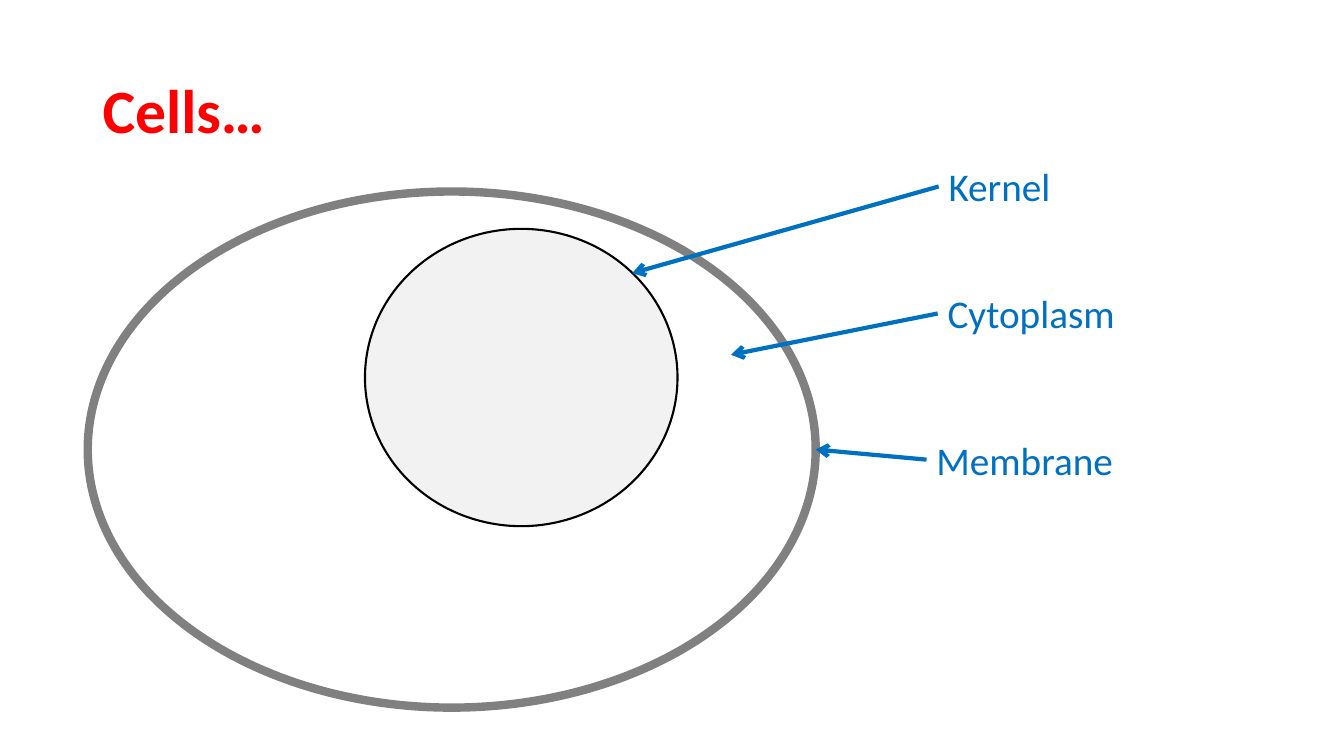
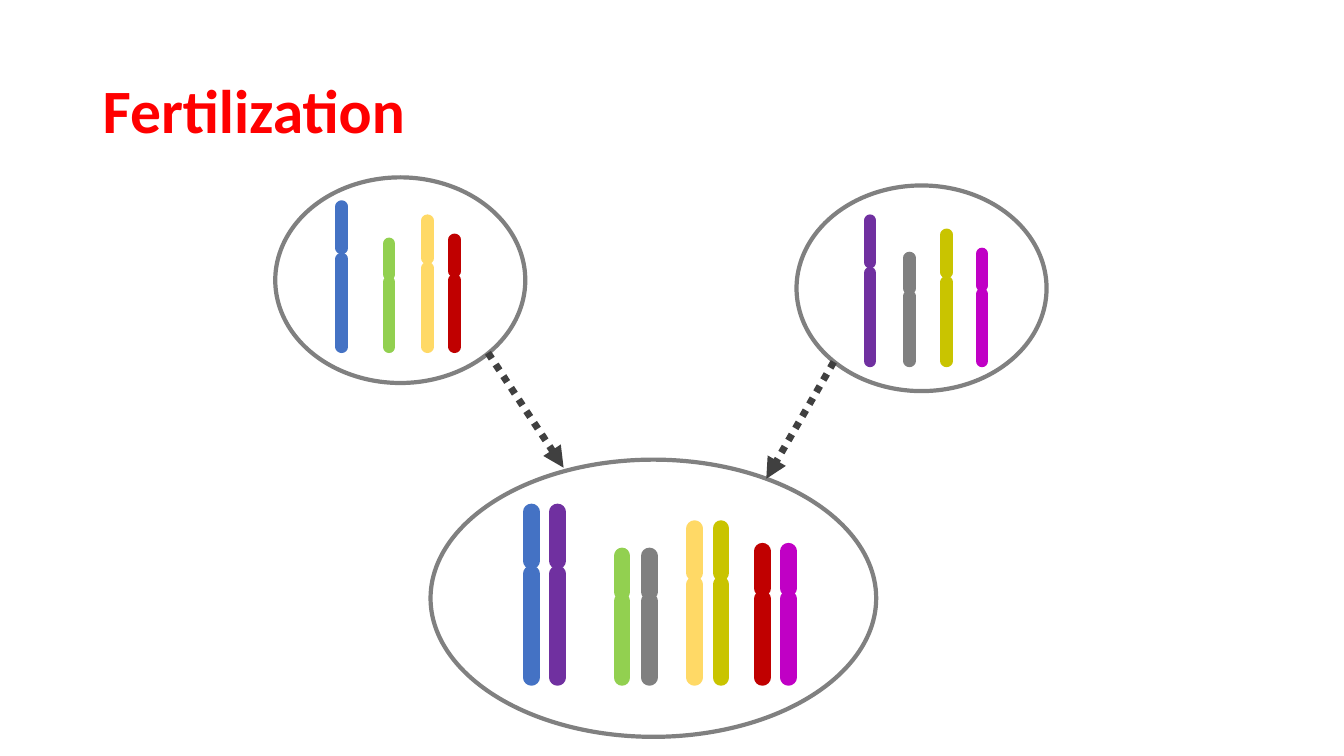
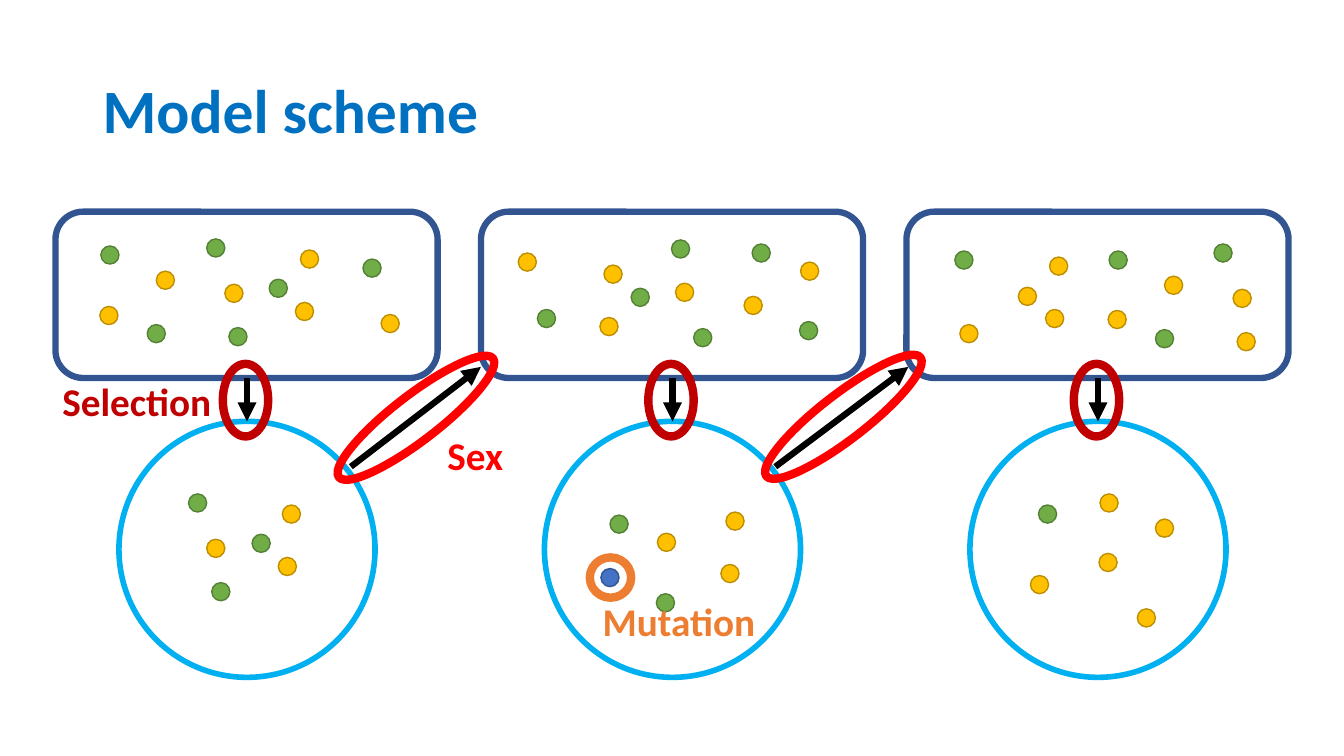
from lxml import etree
from pptx import Presentation
from pptx.dml.color import RGBColor
from pptx.enum.dml import MSO_LINE
from pptx.enum.shapes import MSO_CONNECTOR, MSO_SHAPE
from pptx.enum.text import MSO_ANCHOR
from pptx.oxml.ns import qn
from pptx.util import Inches, Pt

OVAL = MSO_SHAPE.OVAL
ROUNDED = MSO_SHAPE.ROUNDED_RECTANGLE
STRAIGHT = MSO_CONNECTOR.STRAIGHT
DOTTED = MSO_LINE.ROUND_DOT
MIDDLE = MSO_ANCHOR.MIDDLE

FONT = "Calibri"
COLORS = {
    "red": "FF0000", "blue": "0070C0", "gray": "808080", "pale": "F2F2F2",
    "black": "000000", "charcoal": "404040", "purple": "7030A0",
    "olive": "C9C400", "magenta": "C000C5", "lime": "92D050",
    "cream": "FFD966", "royal": "4472C4", "crimson": "C00000",
    "navy": "325491", "sky": "00B0F0", "orange": "ED7D31",
    "green": "70AD47", "green edge": "538035",
    "gold": "FFC000", "gold edge": "BD8E00",
}

CELL_PARTS = [
    ("Kernel", (9.31, 1.56, 1.22, 0.57), (9.31, 1.85), (6.27, 2.71)),
    ("Cytoplasm", (9.3, 2.82, 1.88, 0.57), (9.3, 3.11), (7.25, 3.52)),
    ("Membrane", (9.19, 4.28, 1.97, 0.57), (9.19, 4.56), (8.09, 4.46)),
]

CHROMOSOME_HEIGHTS = [(1.39, 0.98, 0.87), (1.02, 0.72, 0.64),
                      (1.25, 0.88, 0.78), (1.06, 0.75, 0.66)]
MOTHER_COLORS = ["royal", "lime", "cream", "crimson"]
FATHER_COLORS = ["purple", "gray", "olive", "magenta"]
ZYGOTE_SCALE = 1.18
CHROMOSOME_SETS = [
    (MOTHER_COLORS, (3.39, 3.86, 4.24, 4.51), 3.44, 1, 9),
    (FATHER_COLORS, (8.63, 9.02, 9.39, 9.74), 3.58, 1, 9),
    (MOTHER_COLORS, (5.27, 6.17, 6.89, 7.56), 6.72, ZYGOTE_SCALE, 12),
    (FATHER_COLORS, (5.53, 6.44, 7.15, 7.82), 6.72, ZYGOTE_SCALE, 12),
]
FERTILIZATION_CELLS = [(2.73, 1.76, 2.48, 2.04), (7.9, 1.84, 2.48, 2.04),
                       (4.27, 4.56, 4.42, 2.75)]
FERTILIZATION_ARROWS = [((4.84, 3.5), (5.59, 4.64)), ((8.27, 3.59), (7.6, 4.75))]

GENERATIONS = 3
GENERATION_STEP = 4.22
DOT_SIZE = 0.18
DOTS = {
    "green": [
        (1, 2.44), (1.46, 3.22), (2.27, 3.25), (2.67, 2.77), (3.6, 2.57), (2.05, 2.37),
        (7.93, 3.19), (7.46, 2.42), (6.66, 2.38), (6.26, 2.86), (5.33, 3.07), (6.88, 3.26),
        (11, 2.49), (11.46, 3.27), (9.47, 2.49), (12.04, 2.42),
        (2.1, 5.78), (2.5, 5.3), (1.87, 4.9), (6.51, 5.89), (6.05, 5.11), (10.3, 5.01),
    ],
    "gold": [
        (0.99, 3.04), (1.55, 2.69), (2.23, 2.82), (2.98, 2.48), (2.93, 3), (3.78, 3.12),
        (7.94, 2.6), (7.38, 2.94), (6.7, 2.81), (5.95, 3.15), (5.99, 2.63), (5.14, 2.51),
        (10.99, 3.08), (11.55, 2.74), (12.23, 2.87), (10.41, 2.55), (10.37, 3.07),
        (9.52, 3.22), (12.27, 3.3), (10.1, 2.85),
        (2.05, 5.35), (2.8, 5.01), (2.76, 5.53), (6.52, 5.29), (7.15, 5.6), (7.2, 5.08),
        (10.91, 4.9), (10.9, 5.49), (11.46, 5.15), (11.28, 6.04), (10.22, 5.71),
    ],
}
SEX_ARROWS = [((3.48, 4.63), (4.77, 3.64)), ((7.69, 4.63), (9.01, 3.64))]
SEX_RINGS = [(3.9, 3.18, 0.45, 1.93), (8.14, 3.17, 0.45, 1.93)]
SEX_RING_ANGLE = 52.4
MODEL_LABELS = [
    ("Selection", (0.52, 3.69, 1.7, 0.57), "crimson"),
    ("Sex", (4.34, 4.23, 0.76, 0.57), "red"),
    ("Mutation", (5.88, 5.88, 1.73, 0.57), "orange"),
]


def rgb(name):
    return RGBColor.from_string(COLORS[name])


def add_text(page, text, place, color, size=28, bold=False, wrap=False):
    box = page.shapes.add_textbox(*map(Inches, place))
    box.text_frame.word_wrap = wrap
    box.text_frame.text = text
    font = box.text_frame.paragraphs[0].runs[0].font
    font.name, font.size, font.bold = FONT, Pt(size), bold
    font.color.rgb = rgb(color)
    return box


def add_page(deck, title, color):
    page = deck.slides.add_slide(deck.slide_layouts[6])
    box = add_text(page, title, (0.92, 0.4, 11.5, 1.45), color, 44, True, True)
    box.text_frame.vertical_anchor = MIDDLE
    box.text_frame.paragraphs[0].line_spacing = 0.9
    return page


def add_outline(page, kind, place, color, width, fill=None):
    shape = page.shapes.add_shape(kind, *map(Inches, place))
    shape.shadow.inherit = False
    if fill:
        shape.fill.solid()
        shape.fill.fore_color.rgb = rgb(fill)
    else:
        shape.fill.background()
    shape.line.color.rgb = rgb(color)
    shape.line.width = Pt(width)
    return shape


def add_line(page, start, end, color, width, head=None, dash=None, cap=None):
    line = page.shapes.add_connector(STRAIGHT, *map(Inches, start + end))
    line.line.color.rgb = rgb(color)
    line.line.width = Pt(width)
    if dash:
        line.line.dash_style = dash
    properties = line._element.spPr
    stroke = properties.find(qn("a:ln"))
    if cap:
        stroke.set("cap", cap)
    if head:
        etree.SubElement(stroke, qn("a:tailEnd")).set("type", head)
    etree.SubElement(properties, qn("a:effectLst"))


def add_chromosomes(page, colors, centers, bottom, scale, width):
    for color, x, heights in zip(colors, centers, CHROMOSOME_HEIGHTS):
        top, upper_end, lower_start = (bottom - scale * height for height in heights)
        for start, end in ((top, upper_end), (lower_start, bottom)):
            add_line(page, (x, start), (x, end), color, width, cap="rnd")


def build_cells(deck):
    page = add_page(deck, "Cells…", "red")
    add_outline(page, OVAL, (0.87, 1.9, 7.22, 5.12), "gray", 6)
    add_outline(page, OVAL, (3.62, 2.27, 3.1, 2.95), "black", 1.5, "pale")
    for label, place, start, end in CELL_PARTS:
        add_line(page, start, end, "blue", 3, "arrow")
        add_text(page, label, place, "blue")


def build_fertilization(deck):
    page = add_page(deck, "Fertilization", "red")
    for chromosome_set in CHROMOSOME_SETS:
        add_chromosomes(page, *chromosome_set)
    for place in FERTILIZATION_CELLS:
        add_outline(page, OVAL, place, "gray", 3)
    for start, end in FERTILIZATION_ARROWS:
        add_line(page, start, end, "charcoal", 5, "triangle", DOTTED)


def build_model(deck):
    page = add_page(deck, "Model scheme", "blue")
    offsets = [index * GENERATION_STEP for index in range(GENERATIONS)]
    for offset in offsets:
        add_outline(page, ROUNDED, (0.55 + offset, 2.1, 3.79, 1.65), "navy", 4.5)
        add_outline(page, OVAL, (1.18 + offset, 4.18, 2.54, 2.54), "sky", 4)
    for color, corners in DOTS.items():
        for corner in corners:
            add_outline(page, OVAL, corner + (DOT_SIZE, DOT_SIZE), color + " edge", 1, color)
    for offset in offsets:
        x = 2.45 + offset
        add_line(page, (x, 3.75), (x, 4.18), "black", 4.5, "triangle")
        add_outline(page, OVAL, (2.21 + offset, 3.61, 0.45, 0.72), "crimson", 6)
    for (start, end), place in zip(SEX_ARROWS, SEX_RINGS):
        add_line(page, start, end, "black", 4.5, "triangle")
        add_outline(page, OVAL, place, "red", 6).rotation = SEX_RING_ANGLE
    add_outline(page, OVAL, (5.96, 5.64, DOT_SIZE, DOT_SIZE), "navy", 1, "royal")
    add_outline(page, OVAL, (5.85, 5.53, 0.41, 0.4), "orange", 6)
    for label, place, color in MODEL_LABELS:
        add_text(page, label, place, color, bold=True)


def main():
    deck = Presentation()
    deck.slide_width, deck.slide_height = Inches(13.33), Inches(7.5)
    build_cells(deck)
    build_fertilization(deck)
    build_model(deck)
    deck.save("out.pptx")


if __name__ == "__main__":
    main()
